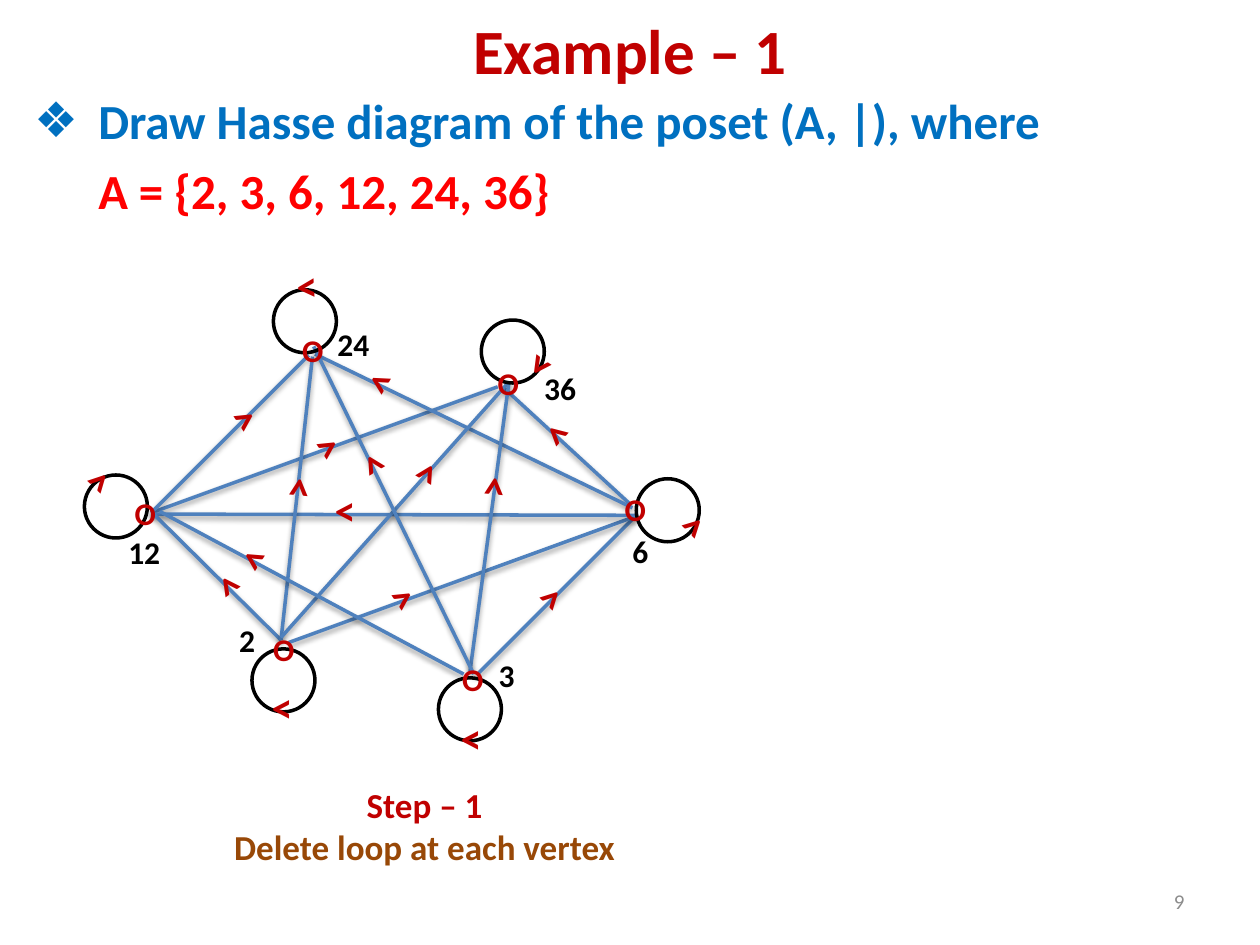
import pptx
import pptx.util
import pptx.dml.color
import pptx.enum.shapes
import pptx.enum.text
import pptx.oxml
from dataclasses import dataclass

Inches, Pt = pptx.util.Inches, pptx.util.Pt
ALIGN = pptx.enum.text.PP_ALIGN
FIT = pptx.enum.text.MSO_AUTO_SIZE


@dataclass(frozen=True)
class Theme:
    font: str = "Calibri"
    dark_red: str = "C00000"
    red: str = "FF0000"
    blue: str = "0070C0"
    edge: str = "4F81BD"
    brown: str = "984807"
    black: str = "000000"
    white: str = "FFFFFF"
    grey: str = "8C8C8C"
    title: int = 36
    body: int = 28
    arrow: int = 24
    caption: int = 20
    vertex: int = 18
    footer: int = 12
    line: int = 2


THEME = Theme()
SLIDE = (10, 7.5)
ARROW = (0.42, 0.5)
MARK = (0.29, 0.33)
LOOP = (0.5, 0.5)
LABEL_HEIGHT = 0.4
LABEL_WIDTH = {1: 0.33, 2: 0.46}
HANGING = 0.51

TITLE = "Example – 1"
BODY = [("Draw Hasse diagram of the poset (A, |), where", THEME.blue),
        ("A = {2, 3, 6, 12, 24, 36}", THEME.red)]
CAPTION = [("Step – 1", THEME.dark_red),
           ("Delete loop at each vertex", THEME.brown)]
PAGE_NUMBER = "9"

# line start, line end, arrow corner, arrow angle
EDGES = [
    ((3.79, 5.35), (5.04, 4.10), (4.17, 4.47), 314.7),  # 3 to 6
    ((2.29, 5.10), (5.04, 4.10), (3.00, 4.47), 326.5),  # 2 to 6
    ((1.20, 4.07), (3.95, 3.07), (2.40, 3.27), 326.5),  # 12 to 36
    ((1.20, 4.07), (2.45, 2.82), (1.74, 3.05), 326.5),  # 12 to 24
    ((1.20, 4.08), (5.04, 4.09), (2.50, 3.85), 180),    # 12 and 6
    ((5.00, 4.00), (4.00, 3.08), (4.18, 3.21), 222.1),  # 6 to 36
    ((2.23, 5.08), (1.22, 4.08), (1.57, 4.40), 234.3),  # 2 to 12
    ((2.48, 2.83), (2.23, 5.08), (2.14, 3.60), 275.4),  # 24 and 2
    ((5.02, 4.03), (2.50, 2.81), (2.77, 2.80), 210.5),  # 6 to 24
    ((2.23, 5.06), (4.04, 3.03), (3.17, 3.48), 301.1),  # 2 to 36
    ((3.73, 5.33), (4.04, 3.03), (3.69, 3.59), 275.4),  # 3 to 36
    ((3.68, 5.35), (1.27, 4.06), (1.77, 4.20), 212.3),  # 3 to 12
    ((3.76, 5.35), (2.49, 2.75), (2.72, 3.43), 238.9),  # 3 to 24
]

# name, mark corner, label corner, loop corner, loop arrow corner, arrow angle, loop fill
VERTICES = [
    ("6", (4.86, 3.84), (4.92, 4.17), (5.05, 3.80), (5.30, 3.90), 315.4, None),
    ("24", (2.30, 2.58), (2.58, 2.53), (2.17, 2.30), (2.20, 2.07), 177, None),
    ("3", (3.57, 5.19), (3.86, 5.16), (3.48, 5.38), (3.50, 5.66), 180, None),
    ("2", (2.07, 4.95), (1.80, 4.88), (2.00, 5.15), (2.00, 5.41), 180, None),
    ("12", (0.97, 3.87), (0.92, 4.18), (0.67, 3.77), (0.58, 3.54), 313.9, None),
    ("36", (3.85, 2.84), (4.22, 2.88), (3.82, 2.54), (4.08, 2.69), 125.1, THEME.white),
]


def rgb(color):
    return pptx.dml.color.RGBColor.from_string(color)


def inches(*lengths):
    return [Inches(length) for length in lengths]


def write(frame, lines, size, align=None, bold=True):
    """Fill a text frame with (text, colour) paragraphs."""
    frame.text = "\n".join(text for text, _ in lines)
    for para, (_, color) in zip(frame.paragraphs, lines):
        para.alignment = align
        for span in para.runs:
            span.font.name, span.font.size, span.font.bold = THEME.font, Pt(size), bold
            span.font.color.rgb = rgb(color)


def add_text(page, corner, extent, lines, size, align=None, wrap=True, bold=True):
    box = page.shapes.add_textbox(*inches(*corner, *extent))
    box.text_frame.word_wrap = wrap
    box.text_frame.auto_size = FIT.SHAPE_TO_FIT_TEXT
    write(box.text_frame, lines, size, align, bold)
    return box


def add_arrow(page, corner, angle):
    box = add_text(page, corner, ARROW, [(">", THEME.dark_red)], THEME.arrow)
    box.rotation = angle


def add_edge(page, start, end, arrow, angle):
    """Draw a relation; the line keeps the soft shadow of the deck theme."""
    line = page.shapes.add_connector(
        pptx.enum.shapes.MSO_CONNECTOR.STRAIGHT, *inches(*start, *end))
    line.line.color.rgb = rgb(THEME.edge)
    line.line.width = Pt(THEME.line)
    add_arrow(page, arrow, angle)


def add_loop(page, corner, arrow, angle, fill):
    ring = page.shapes.add_shape(
        pptx.enum.shapes.MSO_SHAPE.OVAL, *inches(*corner, *LOOP))
    ring.shadow.inherit = False
    if fill:
        ring.fill.solid()
        ring.fill.fore_color.rgb = rgb(fill)
    else:
        ring.fill.background()
    ring.line.color.rgb = rgb(THEME.black)
    ring.line.width = Pt(THEME.line)
    add_arrow(page, arrow, angle)


def place(shape, left, top, width, height):
    shape.left, shape.top, shape.width, shape.height = inches(left, top, width, height)
    shape.text_frame.auto_size = FIT.NONE


def set_bullet(para, bullet):
    """Indent a paragraph, with a hanging bullet if one is given."""
    properties = para._p.get_or_add_pPr()
    properties.set("marL", str(Inches(HANGING)))
    properties.set("indent", str(-Inches(HANGING) if bullet else 0))
    tag = f'a:buChar char="{bullet}"' if bullet else "a:buNone"
    namespace = "http://schemas.openxmlformats.org/drawingml/2006/main"
    properties.append(pptx.oxml.parse_xml(f'<{tag} xmlns:a="{namespace}"/>'))


def main():
    deck = pptx.Presentation()
    deck.slide_width, deck.slide_height = inches(*SLIDE)
    page = deck.slides.add_slide(deck.slide_layouts[1])

    title, body = page.placeholders
    place(title, 0.5, 0.08, 9, 0.62)
    write(title.text_frame, [(TITLE, THEME.dark_red)], THEME.title, ALIGN.CENTER)
    place(body, 0.17, 0.67, 8.5, 1.25)
    write(body.text_frame, BODY, THEME.body)
    for para, bullet in zip(body.text_frame.paragraphs, ("❖", None)):
        para.space_before = Pt(6)
        set_bullet(para, bullet)

    for edge in EDGES:
        add_edge(page, *edge)
    for name, mark, label, *loop in VERTICES:
        add_loop(page, *loop)
        add_text(page, mark, MARK, [("O", THEME.dark_red)], THEME.vertex, wrap=False)
        add_text(page, label, (LABEL_WIDTH[len(name)], LABEL_HEIGHT),
                 [(name, THEME.black)], THEME.vertex, wrap=False)

    add_text(page, (0.58, 6.17), (5.58, 0.77), CAPTION, THEME.caption, ALIGN.CENTER)
    number = add_text(page, (7.17, 6.95), (2.33, 0.4), [(PAGE_NUMBER, THEME.grey)],
                      THEME.footer, ALIGN.RIGHT, bold=False)
    number.text_frame.auto_size = FIT.NONE
    number.text_frame.vertical_anchor = pptx.enum.text.MSO_ANCHOR.MIDDLE

    deck.save("out.pptx")


if __name__ == "__main__":
    main()
